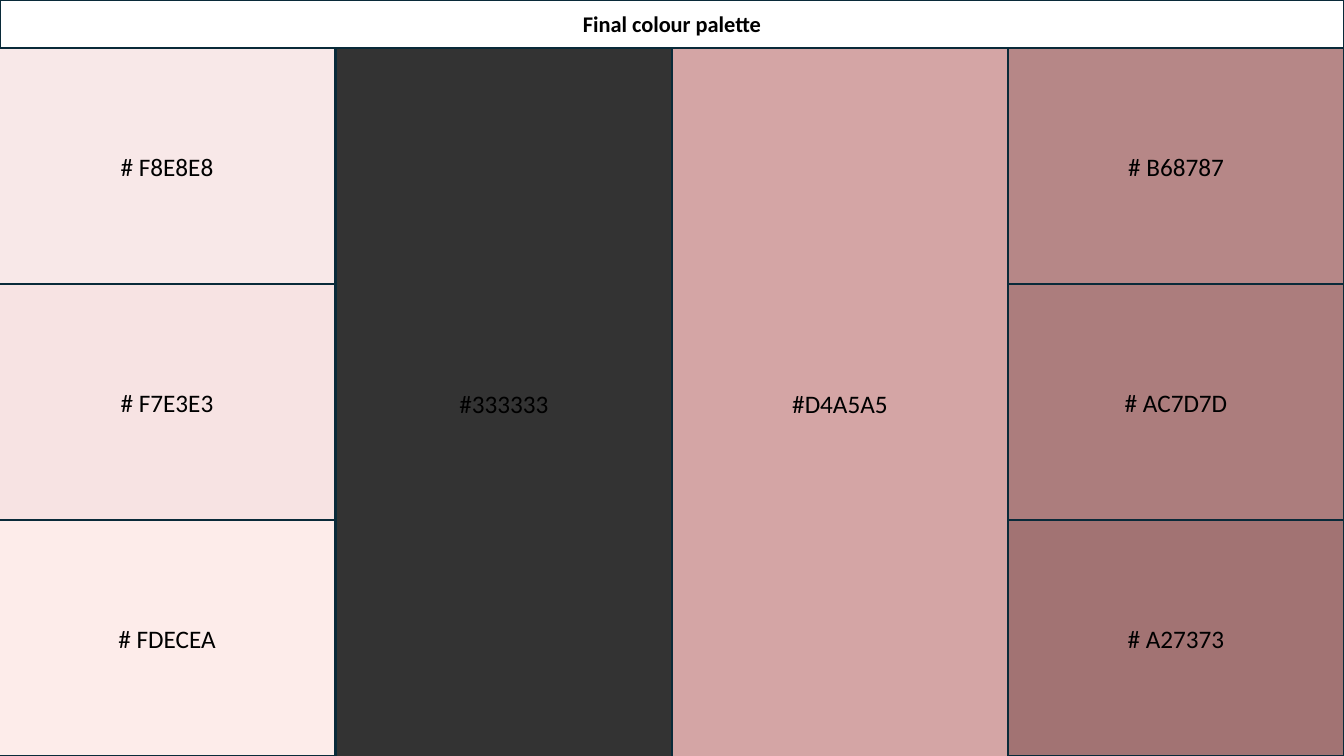
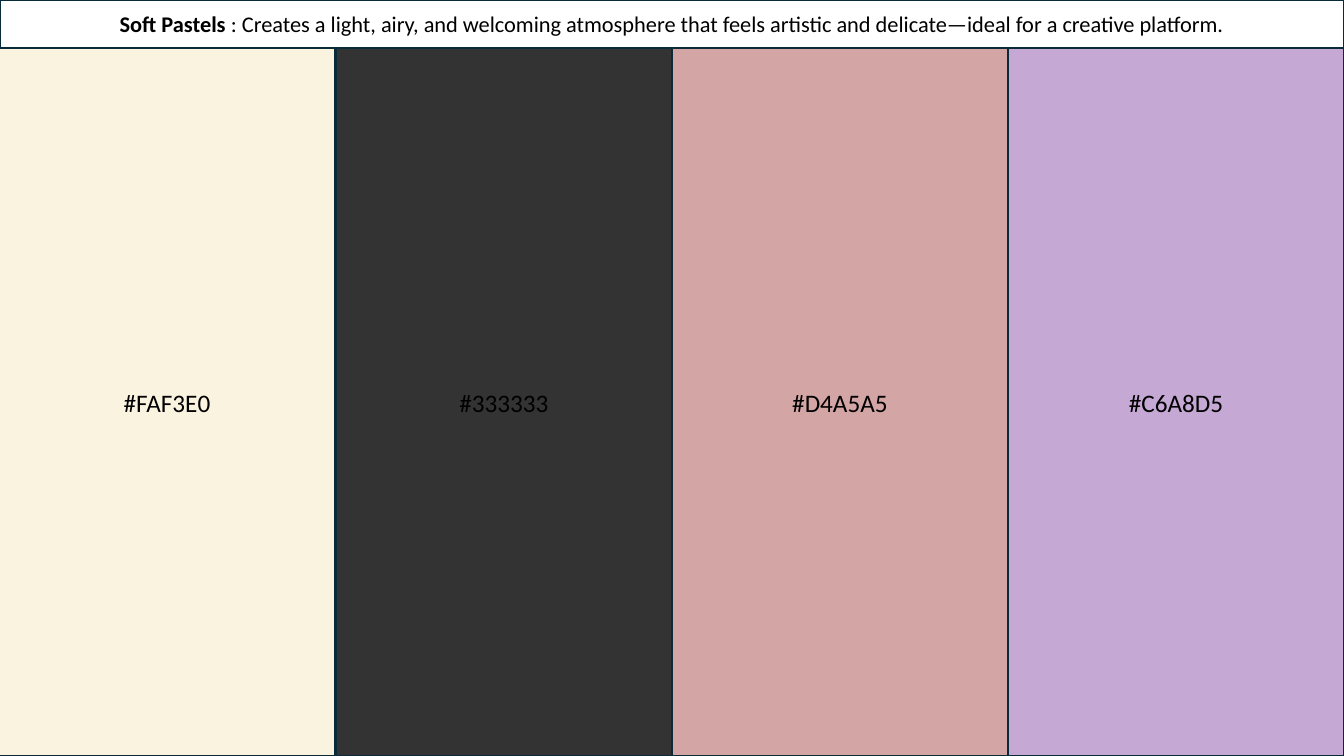
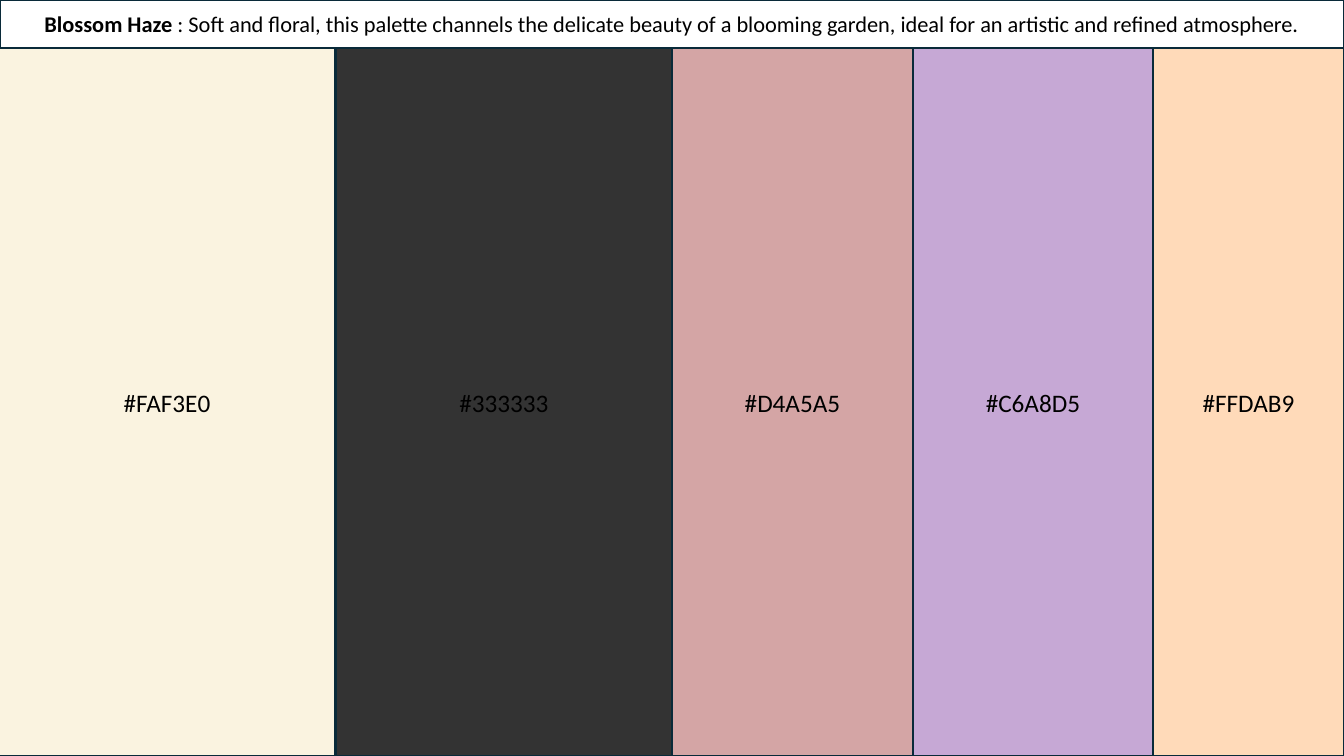
from dataclasses import dataclass

from pptx import Presentation
from pptx.dml.color import RGBColor
from pptx.enum.shapes import MSO_SHAPE
from pptx.enum.text import MSO_ANCHOR, MSO_AUTO_SIZE, PP_ALIGN
from pptx.util import Emu, Pt

RECTANGLE = MSO_SHAPE.RECTANGLE
MIDDLE = MSO_ANCHOR.MIDDLE
CENTER = PP_ALIGN.CENTER
NO_AUTOFIT = MSO_AUTO_SIZE.NONE

EMU_PER_PX = 914400 / 100.8
SLIDE_WIDTH = 1344
SLIDE_HEIGHT = 756
BAND_HEIGHT = 48
SWATCH_HEIGHT = SLIDE_HEIGHT - BAND_HEIGHT
QUARTER = SLIDE_WIDTH // 4
FIRST_COLUMN_LEFT = -1
TITLE_ONLY = 5


@dataclass(frozen=True)
class Theme:
    font: str = "Calibri"
    title_size: int = 16
    label_size: int = 18
    text: str = "000000"
    band: str = "FFFFFF"
    outline: str = "092A39"
    outline_width: float = 1.5


THEME = Theme()


def px(length):
    return Emu(round(length * EMU_PER_PX))


def rgb(value):
    return RGBColor.from_string(value)


def paint(shape, fill):
    shape.fill.solid()
    shape.fill.fore_color.rgb = rgb(fill)
    shape.line.color.rgb = rgb(THEME.outline)
    shape.line.width = Pt(THEME.outline_width)


def format_text(shape, size):
    frame = shape.text_frame
    frame.word_wrap = True
    frame.auto_size = NO_AUTOFIT
    frame.vertical_anchor = MIDDLE
    for paragraph in frame.paragraphs:
        paragraph.alignment = CENTER
        for run in paragraph.runs:
            run.font.name = THEME.font
            run.font.size = Pt(size)
            run.font.color.rgb = rgb(THEME.text)


def add_title_band(slide, name, description):
    title = slide.shapes.title
    title.left, title.top = px(0), px(0)
    title.width, title.height = px(SLIDE_WIDTH), px(BAND_HEIGHT)
    paint(title, THEME.band)
    paragraph = title.text_frame.paragraphs[0]
    for text, bold in ((name, True), (description, False)):
        if text:
            run = paragraph.add_run()
            run.text = text
            run.font.bold = bold
    format_text(title, THEME.title_size)


def add_swatch(slide, label, left, top, width, height):
    swatch = slide.shapes.add_shape(
        RECTANGLE, px(left), px(top), px(width), px(height)
    )
    swatch.shadow.inherit = False
    paint(swatch, label[-6:])
    swatch.text_frame.text = label
    format_text(swatch, THEME.label_size)


def add_column(slide, labels, left, width, height=SWATCH_HEIGHT):
    row_height = height // len(labels)
    for row, label in enumerate(labels):
        top = BAND_HEIGHT + row * row_height
        add_swatch(slide, label, left, top, width, row_height)


def add_palette_slide(presentation, name, description, columns):
    slide = presentation.slides.add_slide(presentation.slide_layouts[TITLE_ONLY])
    add_title_band(slide, name, description)
    left = 0
    for labels, width, *height in columns:
        add_column(slide, labels, left or FIRST_COLUMN_LEFT, width, *height)
        left += width


def main():
    presentation = Presentation()
    presentation.slide_width = px(SLIDE_WIDTH)
    presentation.slide_height = px(SLIDE_HEIGHT)

    cream, charcoal = ["#FAF3E0"], ["#333333"]
    rose, lilac, peach = ["#D4A5A5"], ["#C6A8D5"], ["#FFDAB9"]
    blushes = ["# F8E8E8", "# F7E3E3", "# FDECEA"]
    mauves = ["# B68787", "# AC7D7D", "# A27373"]
    tall = SWATCH_HEIGHT + 3

    add_palette_slide(
        presentation,
        "Final colour palette",
        "",
        [
            (blushes, QUARTER),
            (charcoal, QUARTER, tall),
            (rose, QUARTER, tall),
            (mauves, QUARTER),
        ],
    )
    add_palette_slide(
        presentation,
        "Soft Pastels ",
        ": Creates a light, airy, and welcoming atmosphere that feels artistic "
        "and delicate—ideal for a creative platform.",
        [(labels, QUARTER) for labels in (cream, charcoal, rose, lilac)],
    )
    add_palette_slide(
        presentation,
        "Blossom Haze ",
        ": Soft and floral, this palette channels the delicate beauty of a "
        "blooming garden, ideal for an artistic and refined atmosphere.",
        [
            (cream, QUARTER),
            (charcoal, QUARTER),
            (rose, 241),
            (lilac, 240),
            (peach, 191),
        ],
    )
    presentation.save("out.pptx")


if __name__ == "__main__":
    main()
